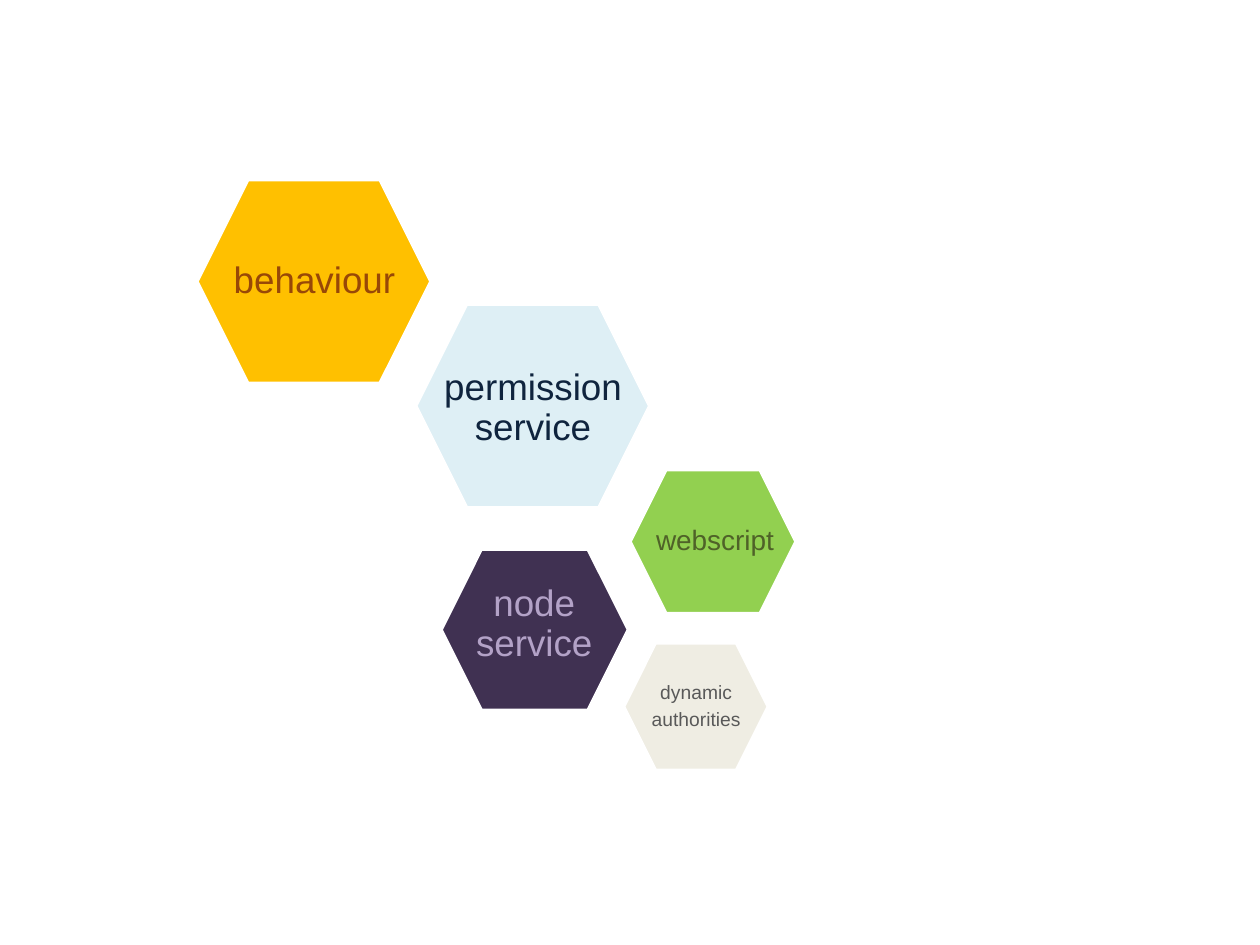
from lxml import etree
from pptx import Presentation
from pptx.dml.color import RGBColor as Rgb
from pptx.enum.shapes import MSO_SHAPE as Shape
from pptx.enum.text import MSO_ANCHOR as Anchor, PP_ALIGN as Align
from pptx.oxml.ns import qn
from pptx.util import Cm, Pt

THEME = {
    "font": "Arial",
    "edge": "FFFFFF",
    "large": 21, "mid": 16, "small": 11,
    "violet": ("403152", "B3A2C7"),
    "sand": ("EEECE1", "595959"),
    "green": ("92D050", "4F6228"),
    "amber": ("FFC000", "984807"),
    "sky": ("DBEEF4", "0F243E"),
}

# Lines, colours, type size, opacity, hexagon box, label box, grouped (boxes in cm)
CELLS = [
    (["node service"], "violet", "large", 100,
     (8.89, 11.07, 3.78, 3.25), (9.46, 11.46, 2.62, 2.26), True),
    (["dynamic", "authorities"], "sand", "small", 90,
     (12.57, 12.96, 2.92, 2.57), (12.97, 13.36, 2.13, 1.78), False),
    (["webscript"], "green", "mid", 100,
     (12.7, 9.47, 3.35, 2.9), (12.94, 9.93, 2.95, 1.98), True),
    (["behaviour"], "amber", "large", 100,
     (3.97, 3.62, 4.72, 4.11), (4.68, 4.26, 3.32, 2.84), True),
    (["permission service"], "sky", "large", 90,
     (8.38, 6.13, 4.72, 4.11), (8.88, 6.83, 3.73, 2.82), True),
]

deck = Presentation()
deck.slide_width, deck.slide_height = Cm(25.4), Cm(19.05)
slide = deck.slides.add_slide(deck.slide_layouts[6])

for lines, tone, size, alpha, frame, area, joined in CELLS:
    host = slide.shapes.add_group_shape().shapes if joined else slide.shapes
    fill, ink = THEME[tone]

    # Hexagon
    hexa = host.add_shape(Shape.HEXAGON, *map(Cm, frame))
    hexa.adjustments[0] = 0.25
    hexa.shadow.inherit = False
    hexa.fill.solid()
    hexa.fill.fore_color.rgb = Rgb.from_string(fill)
    hexa.line.color.rgb = Rgb.from_string(THEME["edge"])
    hexa.line.width = Pt(2)
    if alpha < 100:
        color = hexa.fill._xPr.find(".//" + qn("a:srgbClr"))
        etree.SubElement(color, qn("a:alpha"), val=str(alpha * 1000))

    # Label
    text = host.add_textbox(*map(Cm, area)).text_frame
    text.word_wrap = True
    text.vertical_anchor = Anchor.MIDDLE
    text.margin_left = text.margin_right = 0
    text.margin_top = text.margin_bottom = Cm(0.08)
    for i, line in enumerate(lines):
        para = text.add_paragraph() if i else text.paragraphs[0]
        para.alignment = Align.CENTER
        para.line_spacing = 0.9
        para.space_after = Pt(round(THEME[size] * 0.35, 1))
        run = para.add_run()
        run.text = line
        run.font.name = THEME["font"]
        run.font.size = Pt(THEME[size])
        run.font.color.rgb = Rgb.from_string(ink)

deck.save("out.pptx")
